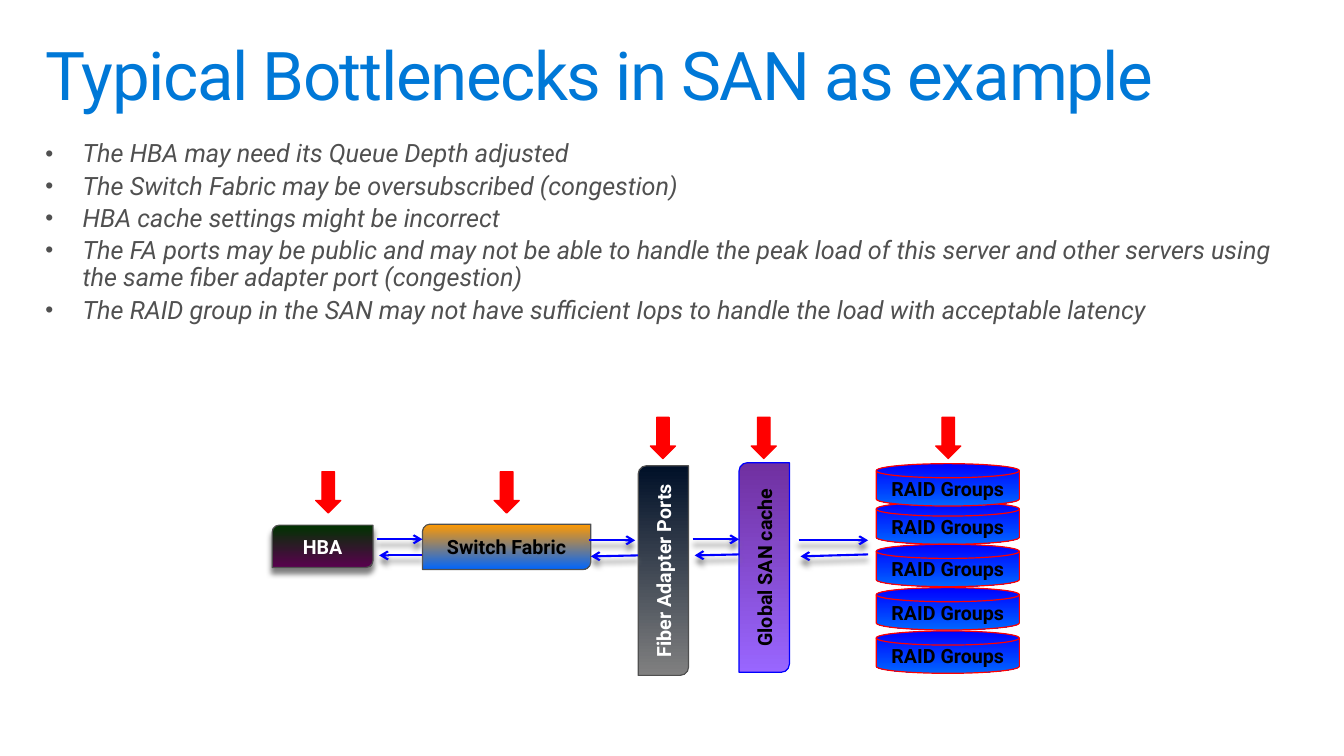
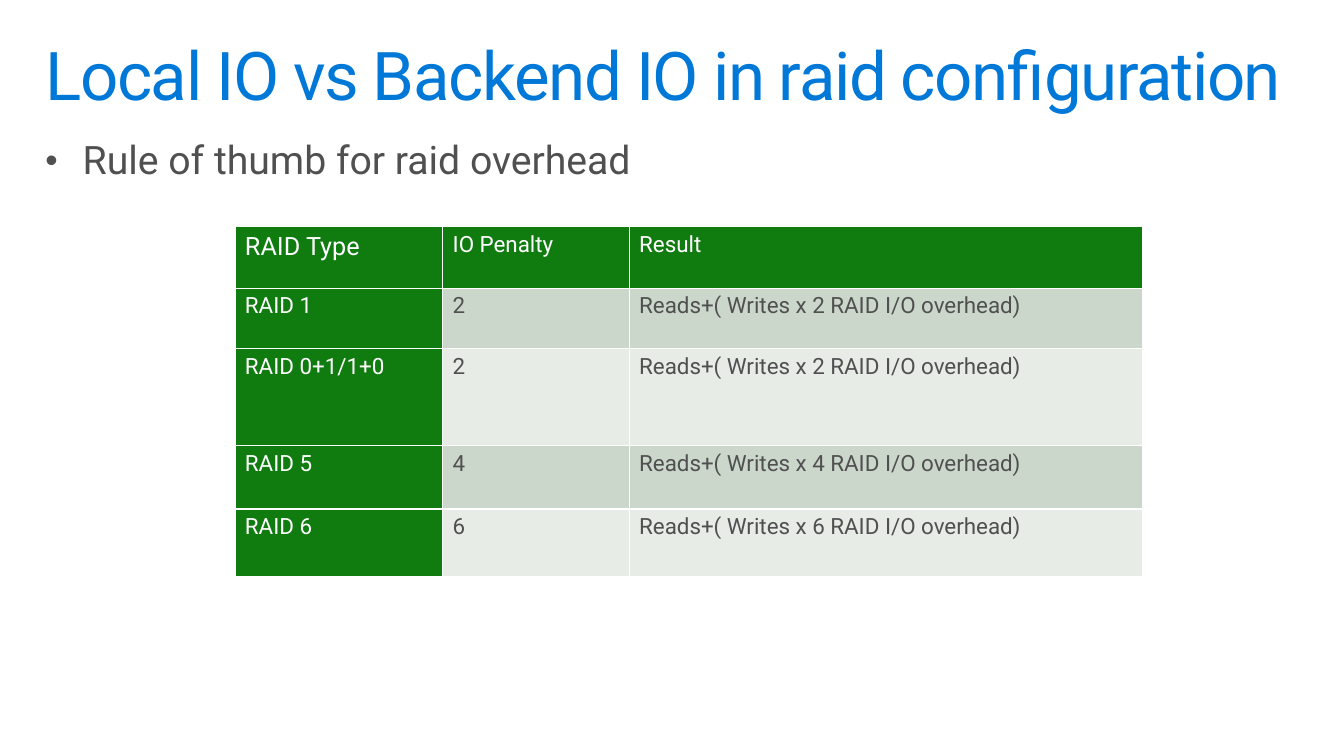
import pptx
import pptx.dml.color
import pptx.enum.shapes
import pptx.enum.text
import pptx.oxml
import pptx.oxml.ns
import pptx.util

Inches, Pt = pptx.util.Inches, pptx.util.Pt
SHAPE = pptx.enum.shapes.MSO_SHAPE
ALIGN = pptx.enum.text.PP_ALIGN
ANCHOR = pptx.enum.text.MSO_ANCHOR

FONT = "Roboto"
COLORS = {
    "title": "0078D7", "text": "505050", "white": "FFFFFF", "black": "000000",
    "blue": "0000FF", "red": "FF0000", "shadow": "808080",
    "green": "107C10", "band dark": "CCD7CC", "band light": "E7ECE7",
    "hba top": "003300", "hba bottom": "5A004F",
    "switch top": "FF9900", "switch bottom": "0065FC",
    "port top": "001028", "port bottom": "808080",
    "cache top": "7030A0", "cache bottom": "9966FF", "disk bottom": "0066FF",
}
TITLE_BOX = (0.29, 0.32, 12.75, 0.98)

BOTTLENECK_TITLE = "Typical Bottlenecks in SAN as example"
BOTTLENECKS = [
    "The HBA may need its Queue Depth adjusted",
    "The Switch Fabric may be oversubscribed (congestion)",
    "HBA cache settings might be incorrect",
    "The FA ports may be public and may not be able to handle the peak load of this "
    "server and other servers using the same fiber adapter port (congestion)",
    "The RAID group in the SAN may not have sufficient Iops to handle the load with "
    "acceptable latency",
]
# label, area, gradient, line colour, text colour, further format
STAGES = [
    ("HBA", (2.7, 5.21, 1, 0.42), ("hba top", "hba bottom"), "text", "white",
     {"shadow": True}),
    ("Switch Fabric", (4.19, 5.2, 1.67, 0.45), ("switch top", "switch bottom"),
     "text", "black", {}),
    ("Fiber Adapter Ports", (6.33, 4.62, 0.5, 2.08), ("port top", "port bottom"),
     "text", "white", {"upright": True}),
    ("Global SAN cache", (7.33, 4.59, 0.5, 2.08), ("cache top", "cache bottom"),
     "blue", "black", {"upright": True}),
]
DISK_LABEL = "RAID Groups"
DISK_TOPS = [4.98, 5.4, 5.83, 6.26, 4.6]  # the top disk overlaps the next one
DISK_LEFT, DISK_WIDTH, DISK_HEIGHT = 8.69, 1.42, 0.42
# from x, from y, to x, to y
REQUESTS = [(3.74, 5.35, 4.19, 5.35), (5.84, 5.36, 6.3, 5.36),
            (6.87, 5.35, 7.33, 5.35), (7.92, 5.36, 8.61, 5.36)]
REPLIES = [(4.19, 5.51, 3.76, 5.51), (6.33, 5.51, 5.86, 5.52),
           (7.33, 5.5, 6.89, 5.51), (8.61, 5.5, 7.94, 5.52)]
WARNINGS = [(3.13, 4.68), (4.9, 4.68), (6.45, 4.14), (7.45, 4.14), (9.28, 4.14)]
WARNING_SIZE = (0.25, 0.41)

RAID_TITLE = "Local IO vs Backend IO in raid configuration"
RAID_POINTS = ["Rule of thumb for raid overhead"]
RAID_HEADER = ("RAID Type", "IO Penalty", "Result")
RAID_PENALTIES = [("RAID 1", 2), ("RAID 0+1/1+0", 2), ("RAID 5", 4), ("RAID 6", 6)]
COLUMN_WIDTHS = [2.06, 1.85, 5.09]
ROW_HEIGHTS = [0.61, 0.6, 0.96, 0.63, 0.67]


def rgb(name):
    return pptx.dml.color.RGBColor.from_string(COLORS[name])


def add_xml(parent, xml):
    """Append an element, written with the a: prefix, to parent."""
    head, mark, rest = xml.partition(" ")
    parent.append(pptx.oxml.parse_xml(
        f"{head} {pptx.oxml.ns.nsdecls('a')}{mark}{rest}"))


def write(paragraph, text, size, color, bold=False, italic=False, spacing=None,
          align=None):
    span = paragraph.add_run()
    span.text = text
    font = span.font
    font.name, font.size, font.bold, font.italic = FONT, Pt(size), bold, italic
    font.color.rgb = rgb(color)
    if spacing is not None:
        span._r.get_or_add_rPr().set("spc", str(round(spacing * 100)))
    if align is not None:
        paragraph.alignment = align


def add_text(page, area, texts, size, color, bullets=False, **format):
    box = page.shapes.add_textbox(*map(Inches, area))
    frame = box.text_frame
    frame.word_wrap = True
    frame.margin_left = frame.margin_right = Inches(0.16)
    frame.margin_top = frame.margin_bottom = Inches(0.1)
    for index, text in enumerate(texts):
        paragraph = frame.paragraphs[0] if index == 0 else frame.add_paragraph()
        paragraph.line_spacing = 0.9
        if index:
            paragraph.space_before = Pt(size * 0.2)
        if bullets:
            properties = paragraph._p.get_or_add_pPr()
            properties.set("marL", str(Inches(0.37)))
            properties.set("indent", str(-Inches(0.37)))
            add_xml(properties, '<a:buSzPct val="90000"/>')
            add_xml(properties, '<a:buFont typeface="Arial"/>')
            add_xml(properties, '<a:buChar char="•"/>')
        write(paragraph, text, size, color, **format)


def add_page(deck, title, points, body_height, **body_format):
    page = deck.slides.add_slide(deck.slide_layouts[6])
    add_text(page, (0.29, 1.3, 12.74, body_height), points, color="text",
             bullets=True, **body_format)
    add_text(page, TITLE_BOX, [title], 48, "title", spacing=-1)
    return page


def add_shadow(effects):
    add_xml(effects,
            f'<a:outerShdw blurRad="{Pt(4)}" dist="{Pt(4)}" dir="5400000" '
            f'rotWithShape="0"><a:srgbClr val="{COLORS["shadow"]}"/></a:outerShdw>')


def add_part(page, kind, area, fills, line):
    """Draw a shape with one fill colour, or a gradient from top to bottom."""
    shape = page.shapes.add_shape(kind, *map(Inches, area))
    shape.shadow.inherit = False
    if len(fills) == 1:
        shape.fill.solid()
        shape.fill.fore_color.rgb = rgb(fills[0])
    else:
        shape.fill.gradient()
        shape.fill.gradient_angle = 270
        for stop, name in zip(shape.fill.gradient_stops, fills):
            stop.color.rgb = rgb(name)
    shape.line.color.rgb = rgb(line)
    shape.line.width = Pt(0.85)
    return shape


def add_labelled_part(page, kind, label, area, fills, line, color,
                      upright=False, shadow=False):
    shape = add_part(page, kind, area, fills, line)
    frame = shape.text_frame
    frame.vertical_anchor = ANCHOR.MIDDLE
    if upright:
        frame._txBody.bodyPr.set("vert", "vert270")
    write(frame.paragraphs[0], label, 14, color, bold=True, align=ALIGN.CENTER)
    if shadow:
        add_shadow(shape._element.spPr.find(pptx.oxml.ns.qn("a:effectLst")))


def add_arrow(page, ends):
    arrow = page.shapes.add_connector(
        pptx.enum.shapes.MSO_CONNECTOR.STRAIGHT, *map(Inches, ends))
    arrow.line.color.rgb = rgb("blue")
    arrow.line.width = Pt(1.5)
    add_xml(arrow.line._get_or_add_ln(), '<a:tailEnd type="arrow"/>')
    properties = arrow._element.spPr
    add_xml(properties, "<a:effectLst />")
    add_shadow(properties[-1])


def fill_cell(cell, text, size, color, fill):
    properties = cell._tc.get_or_add_tcPr()
    for side in "LRTB":
        add_xml(properties,
                f'<a:ln{side} w="{Pt(1)}"><a:solidFill><a:srgbClr '
                f'val="{COLORS["white"]}"/></a:solidFill></a:ln{side}>')
    cell.fill.solid()
    cell.fill.fore_color.rgb = rgb(fill)
    write(cell.text_frame.paragraphs[0], text, size, color)


def build_bottlenecks(deck):
    page = add_page(deck, BOTTLENECK_TITLE, BOTTLENECKS, 2.08, size=18, italic=True)
    for label, area, fills, line, color, format in STAGES:
        add_labelled_part(page, SHAPE.ROUND_2_DIAG_RECTANGLE, label, area, fills,
                          line, color, **format)
    for top in DISK_TOPS:
        add_labelled_part(page, SHAPE.FLOWCHART_MAGNETIC_DISK, DISK_LABEL,
                          (DISK_LEFT, top, DISK_WIDTH, DISK_HEIGHT),
                          ("blue", "disk bottom"), "red", "black")
    for ends in REQUESTS + REPLIES:
        add_arrow(page, ends)
    for corner in WARNINGS:
        add_part(page, SHAPE.DOWN_ARROW, corner + WARNING_SIZE, ["red"], "red")


def build_raid_overhead(deck):
    page = add_page(deck, RAID_TITLE, RAID_POINTS, 0.63, size=28)
    rows = [RAID_HEADER] + [
        (name, str(penalty), f"Reads+( Writes x {penalty} RAID I/O overhead)")
        for name, penalty in RAID_PENALTIES]
    table = page.shapes.add_table(
        len(rows), len(COLUMN_WIDTHS), Inches(2.33), Inches(2.25),
        Inches(sum(COLUMN_WIDTHS)), Inches(sum(ROW_HEIGHTS))).table
    table.first_row = table.horz_banding = False
    for column, width in zip(table.columns, COLUMN_WIDTHS):
        column.width = Inches(width)
    for r, (texts, height) in enumerate(zip(rows, ROW_HEIGHTS)):
        table.rows[r].height = Inches(height)
        for c, text in enumerate(texts):
            heading = r == 0 or c == 0
            band = "band dark" if r % 2 else "band light"
            fill_cell(table.cell(r, c), text, 18 if r == c == 0 else 16,
                      "white" if heading else "text",
                      "green" if heading else band)


def main():
    deck = pptx.Presentation()
    deck.slide_width, deck.slide_height = Inches(13.33), Inches(7.5)
    build_bottlenecks(deck)
    build_raid_overhead(deck)
    deck.save("out.pptx")


if __name__ == "__main__":
    main()
